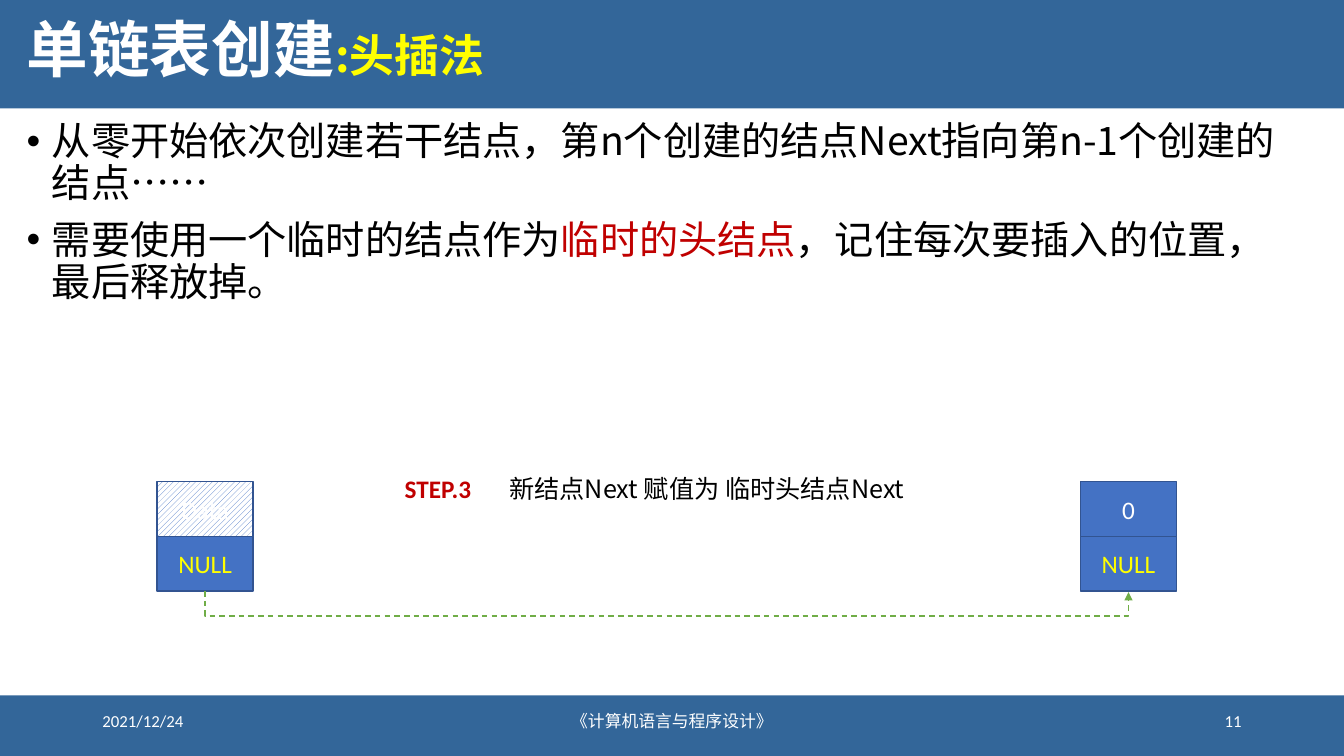
from lxml import etree
from pptx import Presentation
from pptx.dml.color import RGBColor
from pptx.enum.dml import MSO_LINE, MSO_PATTERN
from pptx.enum.shapes import MSO_CONNECTOR, MSO_SHAPE
from pptx.enum.text import MSO_ANCHOR, PP_ALIGN
from pptx.oxml.ns import qn
from pptx.util import Inches, Pt

RECTANGLE = MSO_SHAPE.RECTANGLE
ELBOW = MSO_CONNECTOR.ELBOW
DASH = MSO_LINE.DASH
HATCH = MSO_PATTERN.WIDE_UPWARD_DIAGONAL
TOP, MIDDLE = MSO_ANCHOR.TOP, MSO_ANCHOR.MIDDLE
LEFT, CENTER, RIGHT = PP_ALIGN.LEFT, PP_ALIGN.CENTER, PP_ALIGN.RIGHT

COLUMNS, ROWS = 160, 90
LATIN, CHINESE = "Calibri", "Noto Sans CJK SC"
BAND, NODE, NODE_LINE, LINK = "336699", "4472C4", "325491", "70AD47"
WHITE, BLACK, YELLOW, RED = "FFFFFF", "000000", "FFFF00", "C00000"


def color(value):
    """Turn a hex string into a colour."""
    return RGBColor.from_string(value)


def add_xml(parent, tag, **attributes):
    """Append a drawing element with attributes and return it."""
    return etree.SubElement(parent, qn(tag), attributes)


class SlideBuilder:
    """Holds the slide, its grid and its text style."""

    def __init__(self, presentation):
        """Add a blank slide and measure one grid cell."""
        self.slide = presentation.slides.add_slide(presentation.slide_layouts[6])
        self.column = presentation.slide_width / COLUMNS
        self.row = presentation.slide_height / ROWS

    def place(self, left, top, width, height):
        """Convert grid units to slide lengths."""
        return (round(left * self.column), round(top * self.row),
                round(width * self.column), round(height * self.row))

    def write_runs(self, paragraph, runs, font, bold=False):
        """Write (text, size, colour) runs into a paragraph."""
        for text, size, ink in runs:
            run = paragraph.add_run()
            run.text = text
            run.font.name = font
            run.font.size = Pt(size)
            run.font.bold = bold
            run.font.color.rgb = color(ink)
            add_xml(run.font._element, "a:ea", typeface=CHINESE)

    def text(self, box, paragraphs, font=CHINESE, bold=False, align=LEFT,
             anchor=TOP, wrap=True, spacing=1.0, bullets=False):
        """Add a text box holding paragraphs of runs."""
        frame = self.slide.shapes.add_textbox(*self.place(*box)).text_frame
        frame.word_wrap = wrap
        frame.vertical_anchor = anchor
        for index, runs in enumerate(paragraphs):
            paragraph = frame.add_paragraph() if index else frame.paragraphs[0]
            paragraph.alignment = align
            paragraph.line_spacing = spacing
            if bullets:
                self.bullet(paragraph)
            self.write_runs(paragraph, runs, font, bold)

    def bullet(self, paragraph):
        """Give a paragraph a hanging bullet and space before it."""
        paragraph.space_before = Pt(10)
        properties = paragraph._p.get_or_add_pPr()
        properties.set("marL", str(Inches(0.25)))
        properties.set("indent", str(-Inches(0.25)))
        add_xml(properties, "a:buFont", typeface="Arial")
        add_xml(properties, "a:buChar", char="•")

    def rectangle(self, box, fill):
        """Add a plain filled rectangle without an outline."""
        shape = self.slide.shapes.add_shape(RECTANGLE, *self.place(*box))
        shape.shadow.inherit = False
        shape.fill.solid()
        shape.fill.fore_color.rgb = color(fill)
        shape.line.fill.background()
        return shape

    def cell(self, box, label, ink, hatched=False):
        """Add one labelled field of a list node."""
        shape = self.rectangle(box, NODE)
        if hatched:
            shape.fill.patterned()
            shape.fill.pattern = HATCH
            shape.fill.fore_color.rgb = color(NODE)
            shape.fill.back_color.rgb = color(WHITE)
        shape.line.color.rgb = color(NODE_LINE)
        shape.line.width = Pt(1)
        shape.text_frame.vertical_anchor = MIDDLE
        paragraph = shape.text_frame.paragraphs[0]
        paragraph.alignment = CENTER
        self.write_runs(paragraph, [(label, 18, ink)], LATIN)

    def node(self, left, top, width, height, data, hatched=False):
        """Stack the data field of a node on its pointer field."""
        self.cell((left, top, width, height), data, WHITE, hatched)
        self.cell((left, top + height, width, height), "NULL", YELLOW)

    def link_below(self, start, end, top, drop):
        """Draw a dashed arrow that leaves and arrives from below."""
        left, y, length, depth = self.place(start, top, end - start, drop)
        thickness = Inches(0.01)
        connector = self.slide.shapes.add_connector(ELBOW, 0, 0, 0, 0)
        # The bend runs along the short side, so the frame is turned upright.
        connector.left = left + (length - thickness) // 2
        connector.top = y + (thickness - length) // 2
        connector.width, connector.height = thickness, length
        properties = connector._element.spPr
        frame = properties.find(qn("a:xfrm"))
        frame.set("rot", "16200000")
        frame.set("flipH", "1")
        guides = properties.find(qn("a:prstGeom")).find(qn("a:avLst"))
        add_xml(guides, "a:gd", name="adj1",
                fmla=f"val {round(depth / thickness * 100000)}")
        connector.line.color.rgb = color(LINK)
        connector.line.width = Pt(1)
        connector.line.dash_style = DASH
        add_xml(properties.find(qn("a:ln")), "a:tailEnd", type="triangle")
        add_xml(properties, "a:effectLst")


def main():
    """Build the slide and save it."""
    presentation = Presentation()
    presentation.slide_width, presentation.slide_height = Inches(13.33), Inches(7.5)
    builder = SlideBuilder(presentation)

    builder.rectangle((0, 0, COLUMNS, 12.9), BAND)
    builder.rectangle((0, 82.8, COLUMNS, 7.2), BAND)
    builder.text((2, 0, 154.4, 12.4),
                 [[("单链表创建", 44, WHITE), (":头插法", 32, YELLOW)]],
                 bold=True, anchor=MIDDLE, spacing=0.9)
    builder.text((2, 13.9, 154.4, 23.8), [
        [("从零开始依次创建若干结点，第n个创建的结点Next指向第n-1个创建的结点……", 28, BLACK)],
        [("需要使用一个临时的结点作为", 28, BLACK), ("临时的头结点", 28, RED),
         ("，记住每次要插入的位置，最后释放掉。", 28, BLACK)],
    ], spacing=0.9, bullets=True)

    for left, width, label, align in ((11, 36, "2021/12/24", LEFT),
                                      (53, 54, "《计算机语言与程序设计》", CENTER),
                                      (113, 36, "11", RIGHT)):
        builder.text((left, 83.4, width, 4.8), [[(label, 12, WHITE)]],
                     font=LATIN, align=align, anchor=MIDDLE)

    node_top, node_width, field_height = 57.36, 11.4, 6.5
    new_node, head_node = 18.72, 128.64
    builder.node(new_node, node_top, node_width, field_height, "Data", hatched=True)
    builder.node(head_node, node_top, node_width, field_height, "0")

    builder.text((47, 55.7, 10.5, 4.8), [[("STEP.3", 18, RED)]],
                 font=LATIN, bold=True, wrap=False)
    builder.text((58.5, 55.7, 51.3, 4.8),
                 [[("新结点Next 赋值为 临时头结点Next", 18, BLACK)]], align=CENTER)
    builder.link_below(new_node + node_width / 2, head_node + node_width / 2,
                       node_top + 2 * field_height, 3)

    presentation.save("out.pptx")


main()
